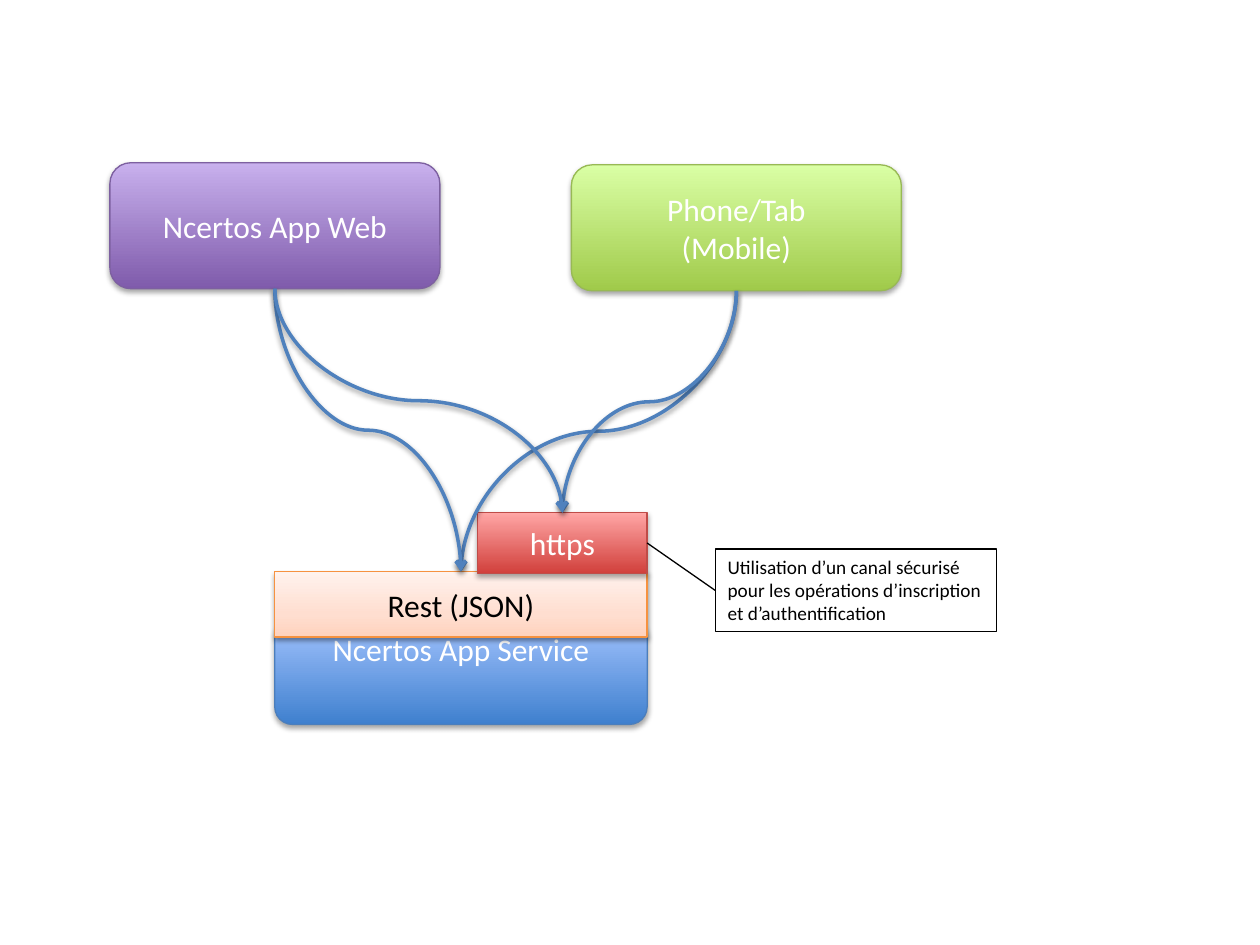
from copy import deepcopy

from lxml import etree
from pptx import Presentation
from pptx import util as u
from pptx.dml import color
from pptx.enum import shapes, text
from pptx.oxml import ns

Pt = u.Pt
BOTTOM, TOP, LEFT, RIGHT = 2, 0, 1, 3


def rgb(code):
    """Turn a hex string into a colour."""
    return color.RGBColor.from_string(code)


def sub(parent, tag, **attrs):
    """Add a DrawingML child element."""
    node = etree.SubElement(parent, ns.qn("a:" + tag))
    for key, value in attrs.items():
        node.set(key, str(value))
    return node


class Board:
    """Hold the style and the current slide."""

    font = "Calibri"
    blue = "4F81BD"
    black = "000000"
    white = "FFFFFF"

    def __init__(self, slide):
        """Keep the slide to draw on."""
        self.slide = slide

    def line(self, item, code, width=0.75):
        """Set the colour and width of a line."""
        item.line.color.rgb = rgb(code)
        item.line.width = Pt(width)

    def shade(self, item, alpha=35, dist=1.8):
        """Give an item a soft shadow straight below it."""
        props = item.element.spPr
        effect = props.find(ns.qn("a:effectLst"))
        if effect is None:
            effect = sub(props, "effectLst")
        outer = sub(effect, "outerShdw", blurRad=Pt(3.1), dist=Pt(dist),
                    dir=5400000, rotWithShape=0)
        tint = sub(outer, "srgbClr", val=self.black)
        sub(tint, "alpha", val=alpha * 1000)

    def blend(self, shape, stops):
        """Fill a shape with a gradient that rises from the bottom."""
        shape.fill.gradient()
        shape.fill.gradient_angle = 90
        first = shape.element.spPr.find(".//" + ns.qn("a:gs"))
        for _ in stops[2:]:
            first.addnext(deepcopy(first))
        for stop, (place, code) in zip(shape.fill.gradient_stops, stops):
            stop.position = place / 100
            stop.color.rgb = rgb(code)

    def label(self, shape, words, size, code, align):
        """Put formatted text in a shape."""
        frame = shape.text_frame
        frame.text = words
        for para in frame.paragraphs:
            para.alignment = align
            for run in para.runs:
                run.font.name = self.font
                run.font.size = Pt(size)
                run.font.color.rgb = rgb(code)

    def box(self, kind, place, words, stops, edge, ink=white,
            anchor=text.MSO_ANCHOR.MIDDLE, shadow=(35, 1.8)):
        """Draw a shaded box with centred text."""
        shape = self.slide.shapes.add_shape(kind, *map(Pt, place))
        shape.shadow.inherit = False
        self.blend(shape, stops)
        self.line(shape, edge)
        self.shade(shape, *shadow)
        self.label(shape, words, 18, ink, text.PP_ALIGN.CENTER)
        shape.text_frame.vertical_anchor = anchor
        return shape

    def note(self, place, words):
        """Draw an outlined note."""
        shape = self.slide.shapes.add_textbox(*map(Pt, place))
        self.line(shape, self.black)
        self.label(shape, words, 11, self.black, text.PP_ALIGN.LEFT)
        shape.text_frame.word_wrap = False
        shape.text_frame.auto_size = text.MSO_AUTO_SIZE.SHAPE_TO_FIT_TEXT
        return shape

    def link(self, kind, start, begin, end, finish):
        """Join two shapes at the given sides."""
        wire = self.slide.shapes.add_connector(kind, 0, 0, 0, 0)
        wire.begin_connect(start, begin)
        wire.end_connect(end, finish)
        return wire

    def curve(self, start, end):
        """Draw a curved arrow from a bottom side to a top side."""
        wire = self.link(shapes.MSO_CONNECTOR.CURVE, start, BOTTOM, end, TOP)
        wide, high = wire.width, wire.height
        mid_x, mid_y = wire.left + wide // 2, wire.top + high // 2
        right = wire.end_x > wire.begin_x
        frame = wire.element.spPr.find(ns.qn("a:xfrm"))
        frame.set("rot", str((270 if right else 90) * 60000))
        frame.set("flipH", str(int(right)))
        wire.left, wire.top = mid_x - high // 2, mid_y - wide // 2
        wire.width, wire.height = high, wide
        self.line(wire, self.blue, 2)
        sub(wire.element.spPr.find(ns.qn("a:ln")), "tailEnd", type="arrow")
        self.shade(wire, 38, 1.6)

    def lead(self, start, end):
        """Draw a thin line from a right side to a left side."""
        wire = self.link(shapes.MSO_CONNECTOR.STRAIGHT, start, RIGHT, end, LEFT)
        self.line(wire, self.black)
        sub(wire.element.spPr, "effectLst")


def main():
    """Build the slide and save it."""
    deck = Presentation()
    deck.slide_width, deck.slide_height = Pt(720), Pt(540)
    board = Board(deck.slides.add_slide(deck.slide_layouts[6]))
    rect = shapes.MSO_SHAPE.RECTANGLE
    soft = shapes.MSO_SHAPE.ROUNDED_RECTANGLE

    board.box(soft, (157, 353.5, 212.8, 60.5), "Ncertos App Service",
              [(0, "3F80CE"), (100, "A4C4FF")], "4B7EBC",
              anchor=text.MSO_ANCHOR.TOP)
    rest = board.box(rect, (157, 326.7, 212.8, 37.4), "Rest (JSON)",
                     [(0, "FFD2BD"), (35, "FFDED0"), (100, "FFF2ED")],
                     "F69240", ink=board.black, shadow=(38, 1.6))
    https = board.box(rect, (273, 293, 96.8, 34.6), "https",
                      [(0, "D1403C"), (100, "FFA6A5")], "BF4C48")

    clients = [
        ((326.5, 94.2, 188.6, 72), "Phone/Tab\v(Mobile)",
         [(0, "A0CA4A"), (100, "DAFFA5")], "98B955"),
        ((62.8, 93, 188.6, 72), "Ncertos App Web",
         [(0, "7F5BAB"), (100, "C8B0ED")], "7D60A0"),
    ]
    for client in clients:
        source = board.box(soft, *client)
        for target in (rest, https):
            board.curve(source, target)

    note = board.note((408.7, 313.8, 160.8, 47.2),
                      "Utilisation d’un canal sécurisé\v"
                      "pour les opérations d’inscription\n"
                      "et d’authentification")
    board.lead(https, note)
    deck.save("out.pptx")


main()
